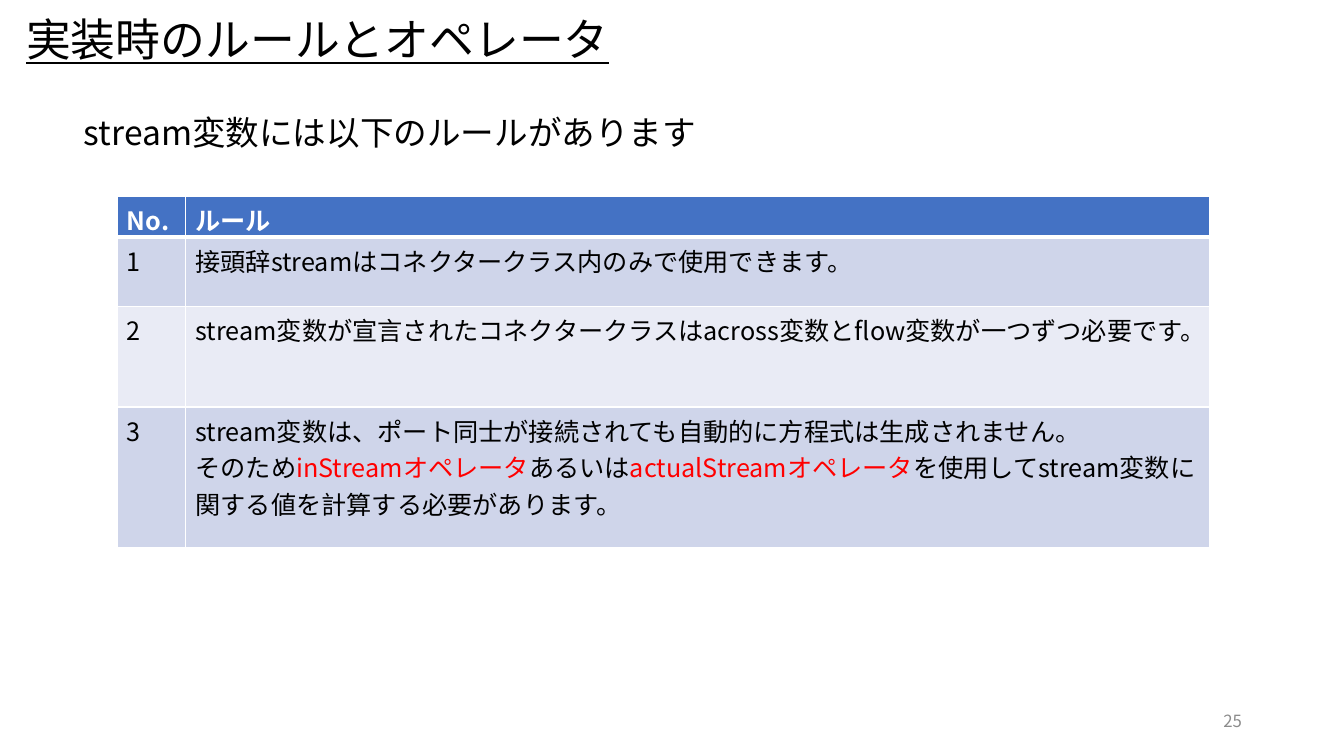
import pptx
import pptx.util
import pptx.dml.color
import pptx.enum.text
import pptx.oxml.ns
from lxml import etree

Pt = pptx.util.Pt
ALIGN = pptx.enum.text.PP_ALIGN
ANCHOR = pptx.enum.text.MSO_ANCHOR
AUTO_SIZE = pptx.enum.text.MSO_AUTO_SIZE
qn = pptx.oxml.ns.qn

FONT = "Noto Sans CJK JP"
COLORS = {
    "text": "000000",
    "white": "FFFFFF",
    "muted": "8C8C8C",
    "accent": "FF0000",
    "header": "4472C4",
    "odd": "CFD5EA",
    "even": "E9EBF5",
}
RULES = [
    [["接頭辞streamはコネクタークラス内のみで使用できます。"]],
    [["stream変数が宣言されたコネクタークラスはacross変数とflow変数が一つずつ必要です。"]],
    [
        ["stream変数は、ポート同士が接続されても自動的に方程式は生成されません。"],
        [
            "そのため",
            ("inStreamオペレータ", "accent"),
            "あるいは",
            ("actualStreamオペレータ", "accent"),
            "を使用してstream変数に関する値を計算する必要があります。",
        ],
    ],
]


def rgb(name):
    return pptx.dml.color.RGBColor.from_string(COLORS[name])


def write_text(frame, lines, size=18, color="text", bold=False, underline=False,
               align=ALIGN.LEFT, spacing=1.0):
    for index, line in enumerate(lines):
        para = frame.add_paragraph() if index else frame.paragraphs[0]
        para.alignment = align
        para.line_spacing = spacing
        para.space_before = Pt(0)
        for part in line:
            words, shade = (part, color) if isinstance(part, str) else part
            span = para.add_run()
            span.text = words
            span.font.size = Pt(size)
            span.font.bold = bold
            span.font.underline = underline
            span.font.color.rgb = rgb(shade)
            span.font.name = FONT
            etree.SubElement(span._r.get_or_add_rPr(), qn("a:ea"), typeface=FONT)


class SlideBuilder:
    def __init__(self, deck):
        self.page = deck.slides.add_slide(deck.slide_layouts[1])

    def place(self, box, left, top, width, height):
        box.left, box.top, box.width, box.height = map(Pt, (left, top, width, height))

    def title(self, text, *bounds):
        box = self.page.shapes.title
        self.place(box, *bounds)
        frame = box.text_frame
        frame.margin_left = frame.margin_right = Pt(4.3)
        frame.margin_top = frame.margin_bottom = Pt(4.3)
        frame.vertical_anchor = ANCHOR.MIDDLE
        frame.word_wrap = False
        frame.auto_size = AUTO_SIZE.SHAPE_TO_FIT_TEXT
        write_text(frame, [[text]], size=32, underline=True, spacing=0.9)

    def body(self, text, *bounds):
        box = self.page.placeholders[1]
        self.place(box, *bounds)
        frame = box.text_frame
        frame.vertical_anchor = ANCHOR.TOP
        frame.word_wrap = True
        frame.auto_size = AUTO_SIZE.SHAPE_TO_FIT_TEXT
        write_text(frame, [[text]], size=24, spacing=0.9)
        for para in frame.paragraphs:
            settings = para._p.get_or_add_pPr()
            settings.set("marL", "0")
            settings.set("indent", "0")
            etree.SubElement(settings, qn("a:buNone"))

    def page_number(self, text, *bounds):
        box = self.page.shapes.add_textbox(*map(Pt, bounds))
        box.text_frame.word_wrap = True
        box.text_frame.vertical_anchor = ANCHOR.MIDDLE
        write_text(box.text_frame, [[text]], size=12, color="muted", align=ALIGN.RIGHT)

    def cell_borders(self, cell, top, bottom):
        settings = cell._tc.get_or_add_tcPr()
        for side, width in (("L", 1), ("R", 1), ("T", top), ("B", bottom)):
            line = etree.SubElement(settings, qn("a:ln" + side), w=str(int(Pt(width))))
            fill = etree.SubElement(line, qn("a:solidFill"))
            etree.SubElement(fill, qn("a:srgbClr"), val=COLORS["white"])

    def table(self, rows, left, top, widths, heights):
        table = self.page.shapes.add_table(
            len(rows), len(widths), Pt(left), Pt(top), Pt(sum(widths)), Pt(sum(heights))
        ).table
        table.horz_banding = False
        for column, width in zip(table.columns, widths):
            column.width = Pt(width)
        for index, (row, height) in enumerate(zip(rows, heights)):
            table.rows[index].height = Pt(height)
            header = index == 0
            shade = "header" if header else ("even", "odd")[index % 2]
            for column, lines in enumerate(row):
                cell = table.cell(index, column)
                self.cell_borders(cell, 3 if index == 1 else 1, 3 if header else 1)
                cell.fill.solid()
                cell.fill.fore_color.rgb = rgb(shade)
                write_text(cell.text_frame, lines, bold=header,
                           color="white" if header else "text")


def main():
    deck = pptx.Presentation()
    deck.slide_width, deck.slide_height = Pt(960), Pt(540)
    slide = SlideBuilder(deck)
    slide.page_number("25", 678.2, 500.4, 216, 28.8)
    slide.title("実装時のルールとオペレータ", 14.4, 6.5, 428.4, 46.8)
    slide.body("stream変数には以下のルールがあります", 52.6, 79.9, 455.8, 36)
    rows = [[[["No."]], [["ルール"]]]]
    rows += [[[[str(number)]], rule] for number, rule in enumerate(RULES, 1)]
    slide.table(rows, 83.5, 140.4, [49, 731.5], [28.5, 49.5, 72, 100.5])
    deck.save("out.pptx")


if __name__ == "__main__":
    main()
